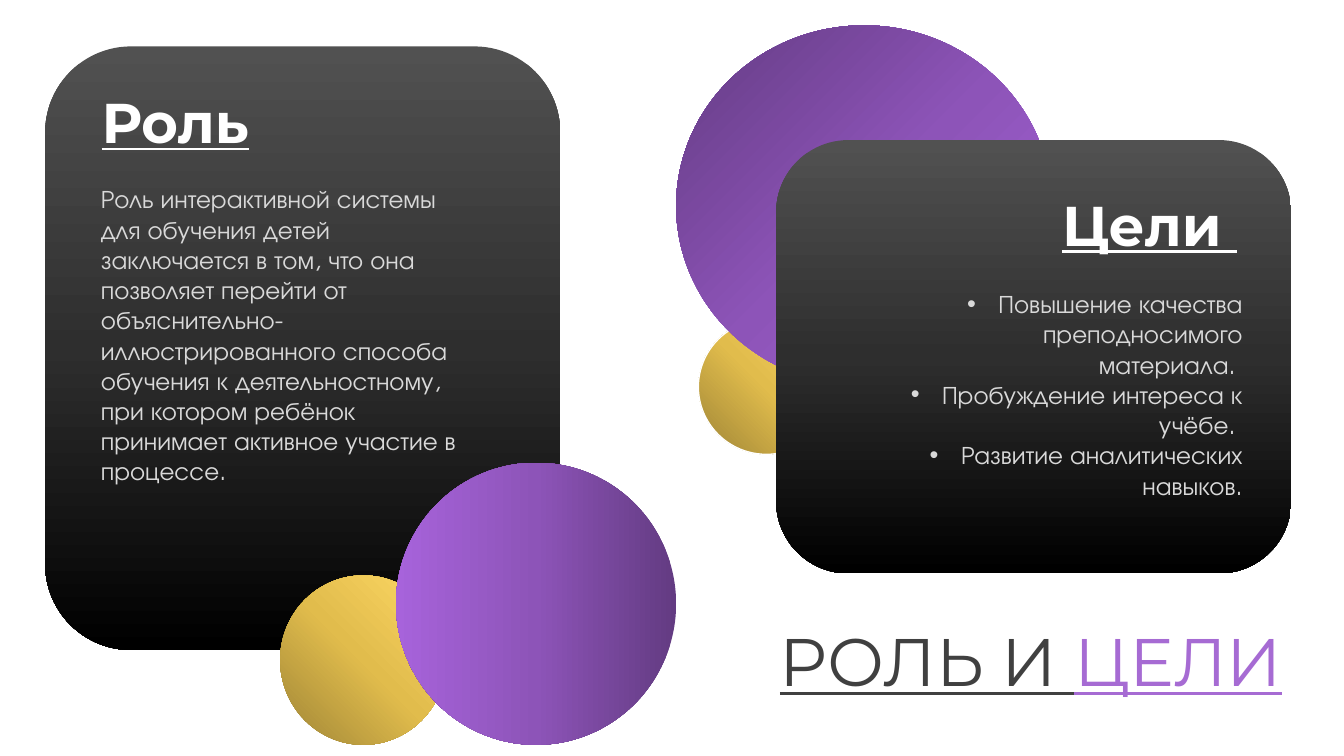
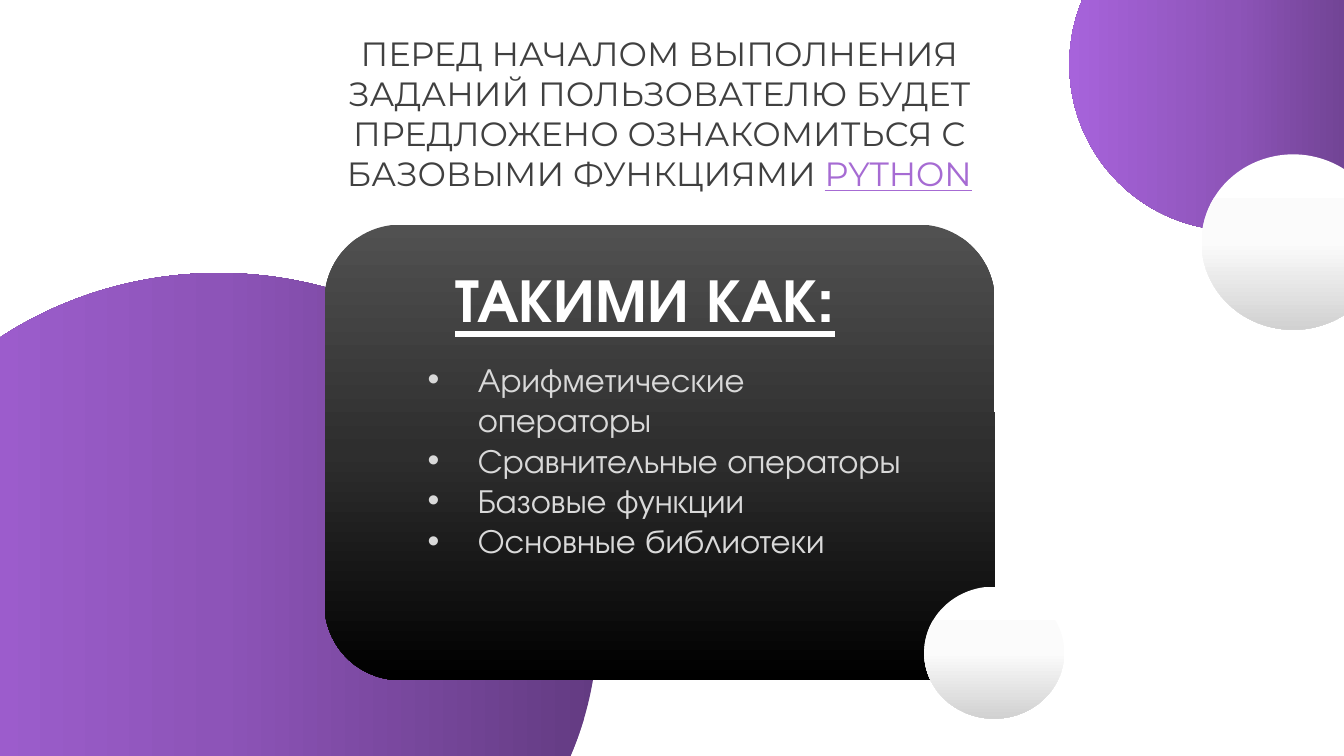
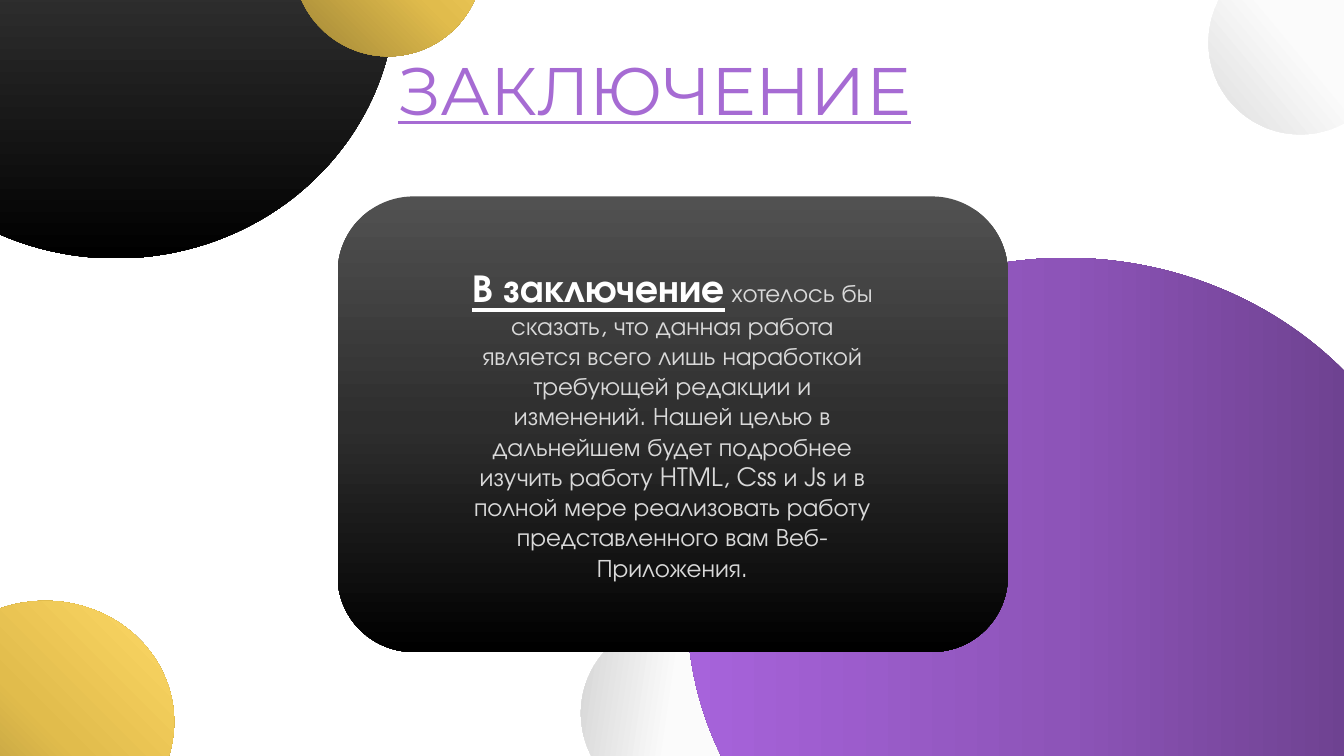
"""Build three slides on the goals, basics and conclusion of an interactive learning system."""
from lxml import etree
from pptx import Presentation
from pptx import util as u
from pptx.dml.color import RGBColor
from pptx.enum import shapes, text
from pptx.oxml import parse_xml
from pptx.oxml.ns import nsdecls, qn

COLOURS = {"white": "FFFFFF", "title": "404040", "accent": "A66BD3", "body": "D9D9D9"}
GRADIENTS = {
    "gold": (("9E8436", "E1BC4C", "FFD966"), 315),
    "purple": (("633B82", "8D54B8", "A763DB"), 180),
    "radial": (("633B82", "8D54B8", "A763DB"), None),
    "black": (("515151", "2E2E2E", "000000"), 90),
    "silver": (("FFFFFF", "FBFBFB", "D1D1D1"), 90),
}
TITLE_FONT, BODY_FONT = "Montserrat", "TeX Gyre Adventor"
OVAL = shapes.MSO_SHAPE.OVAL
CARD = shapes.MSO_SHAPE.ROUNDED_RECTANGLE
LEFT, CENTER, RIGHT = text.PP_ALIGN.LEFT, text.PP_ALIGN.CENTER, text.PP_ALIGN.RIGHT


def add_gradient_shape(page, kind, gradient, place, rotation=0):
    shape = page.shapes.add_shape(kind, *map(u.Cm, place))
    shape.shadow.inherit = False
    shape.rotation = rotation
    shape.line.fill.background()
    shape.fill.background()
    colours, angle = GRADIENTS[gradient]
    stops = "".join(
        f'<a:gs pos="{index * 50000}"><a:srgbClr val="{colour}"/></a:gs>'
        for index, colour in enumerate(colours))
    if angle is None:
        direction = '<a:path path="circle"><a:fillToRect r="100000" b="100000"/></a:path>'
    else:
        direction = f'<a:lin ang="{angle * 60000}" scaled="0"/>'
    fill = parse_xml(f'<a:gradFill {nsdecls("a")} rotWithShape="1">'
                     f'<a:gsLst>{stops}</a:gsLst>{direction}</a:gradFill>')
    properties = shape.element.spPr
    properties.replace(properties.find(qn("a:noFill")), fill)
    return shape


def write_text(box, place, paragraphs, align=LEFT, indent=0):
    box.left, box.top, box.width, box.height = map(u.Cm, place)
    box.element.getparent().append(box.element)
    frame = box.text_frame
    frame.word_wrap = True
    frame.auto_size = text.MSO_AUTO_SIZE.NONE
    frame.vertical_anchor = text.MSO_ANCHOR.TOP
    for index, runs in enumerate(paragraphs):
        para = frame.add_paragraph() if index else frame.paragraphs[0]
        para.alignment = align
        para.space_before = u.Pt(0)
        properties = para._p.get_or_add_pPr()
        properties.set("marL", str(u.Cm(indent)))
        properties.set("indent", str(-u.Cm(indent)))
        if indent:
            etree.SubElement(properties, qn("a:buFont")).set("typeface", "Arial")
            etree.SubElement(properties, qn("a:buChar")).set("char", "•")
        else:
            etree.SubElement(properties, qn("a:buNone"))
        for words, font, size, colour, bold, underline in runs:
            span = para.add_run()
            span.text = words
            span.font.name = font
            span.font.size = u.Pt(size)
            span.font.color.rgb = RGBColor.from_string(COLOURS[colour])
            span.font.bold = bold
            span.font.underline = underline


deck = Presentation()
deck.slide_width, deck.slide_height = u.Cm(33.87), u.Cm(19.05)
CONTENT, TWO_CONTENT = deck.slide_layouts[1], deck.slide_layouts[3]

page = deck.slides.add_slide(TWO_CONTENT)
small_circle = add_gradient_shape(page, OVAL, "gold", (17.6, 8.05, 3.43, 3.4))
small_circle.line.color.rgb = RGBColor.from_string(COLOURS["white"])
small_circle.line.width = u.Pt(1)
for kind, gradient, place in (
    (OVAL, "radial", (17.04, 0.64, 9.47, 9.09)),
    (CARD, "black", (19.56, 3.53, 12.98, 10.92)),
    (CARD, "black", (1.14, 1.17, 12.98, 15.21)),
    (OVAL, "gold", (7.06, 14.5, 4.19, 4.27)),
    (OVAL, "purple", (9.98, 11.66, 7.06, 7.11)),
):
    add_gradient_shape(page, kind, gradient, place)
for words, place in (("Роль", (2.31, 2.08, 4.55, 1.96)), ("Цели ", (26.52, 4.67, 5.18, 1.96))):
    heading = page.shapes.add_textbox(0, 0, 0, 0)
    write_text(heading, place, [[(words, TITLE_FONT, 40, "white", True, True)]])
role = (
    "Роль интерактивной системы для обучения детей заключается в том, что она позволяет "
    "перейти от объяснительно-иллюстрированного способа обучения к деятельностному, "
    "при котором ребёнок принимает активное участие в процессе.")
write_text(page.placeholders[1], (2.29, 4.5, 9.83, 8.71),
           [[(role, BODY_FONT, 18, "body", False, False)]])
goals = ("Повышение качества преподносимого материала. ",
         "Пробуждение интереса к учёбе. ",
         "Развитие аналитических навыков.")
write_text(page.placeholders[2], (22.02, 7.14, 9.55, 5.66),
           [[(goal, BODY_FONT, 18, "body", False, False)] for goal in goals], RIGHT, 0.79)
write_text(page.shapes.title, (12.22, 15.49, 20.35, 2.31),
           [[("РОЛЬ И ", TITLE_FONT, 48, "title", False, True),
             ("ЦЕЛИ", TITLE_FONT, 48, "accent", False, True)]], RIGHT)

page = deck.slides.add_slide(CONTENT)
for kind, gradient, place in (
    (OVAL, "purple", (-4.04, 6.88, 19.1, 17.75)),
    (CARD, "black", (8.18, 5.66, 16.89, 11.48)),
    (OVAL, "purple", (26.95, -2.57, 8.33, 8.38)),
    (OVAL, "silver", (30.28, 3.89, 4.62, 4.42)),
    (OVAL, "silver", (23.29, 14.78, 3.53, 3.33)),
):
    add_gradient_shape(page, kind, gradient, place)
introduction = ("ПЕРЕД НАЧАЛОМ ВЫПОЛНЕНИЯ ЗАДАНИЙ ПОЛЬЗОВАТЕЛЮ БУДЕТ ПРЕДЛОЖЕНО "
                "ОЗНАКОМИТЬСЯ С БАЗОВЫМИ ФУНКЦИЯМИ ")
write_text(page.shapes.title, (7.85, 0.69, 17.53, 4.37),
           [[(introduction, TITLE_FONT, 24, "title", False, False),
             ("PYTHON", TITLE_FONT, 24, "accent", False, True)]], CENTER)
heading = page.shapes.add_textbox(0, 0, 0, 0)
write_text(heading, (11.23, 6.45, 12.95, 2.13),
           [[("ТАКИМИ КАК:", BODY_FONT, 44, "white", True, True)]])
topics = ("Арифметические операторы", "Сравнительные операторы",
          "Базовые функции", "Основные библиотеки")
write_text(page.placeholders[1], (10.52, 8.92, 12.45, 6.4),
           [[(topic, BODY_FONT, 24, "body", False, False)] for topic in topics], LEFT, 1.27)

page = deck.slides.add_slide(CONTENT)
for kind, gradient, place, rotation in (
    (OVAL, "black", (-4.14, -6.98, 14.12, 13.49), 0),
    (OVAL, "silver", (14.63, 15.67, 4.62, 4.6), 98.2),
    (OVAL, "purple", (17.32, 6.5, 19.1, 17.75), 0),
    (CARD, "black", (8.51, 4.95, 16.89, 11.48), 0),
    (OVAL, "gold", (7.39, -3.38, 4.78, 4.8), 0),
    (OVAL, "gold", (-2.11, 15.14, 6.5, 6.1), 0),
    (OVAL, "silver", (30.45, -1.22, 4.62, 4.6), 50.3),
):
    add_gradient_shape(page, kind, gradient, place, rotation)
write_text(page.shapes.title, (9.78, 1.09, 14.33, 2.31),
           [[("ЗАКЛЮЧЕНИЕ", TITLE_FONT, 48, "accent", False, True)]])
conclusion = (
    " хотелось бы сказать, что данная работа является всего лишь наработкой требующей "
    "редакции и изменений. Нашей целью в дальнейшем будет подробнее изучить работу HTML, "
    "Css и Js и в полной мере реализовать работу представленного вам Веб-Приложения.")
write_text(page.placeholders[1], (11.46, 6.5, 10.97, 8.38),
           [[("В заключение", BODY_FONT, 28, "white", True, True),
             (conclusion, BODY_FONT, 18, "body", False, False)]], CENTER)

deck.save("out.pptx")
